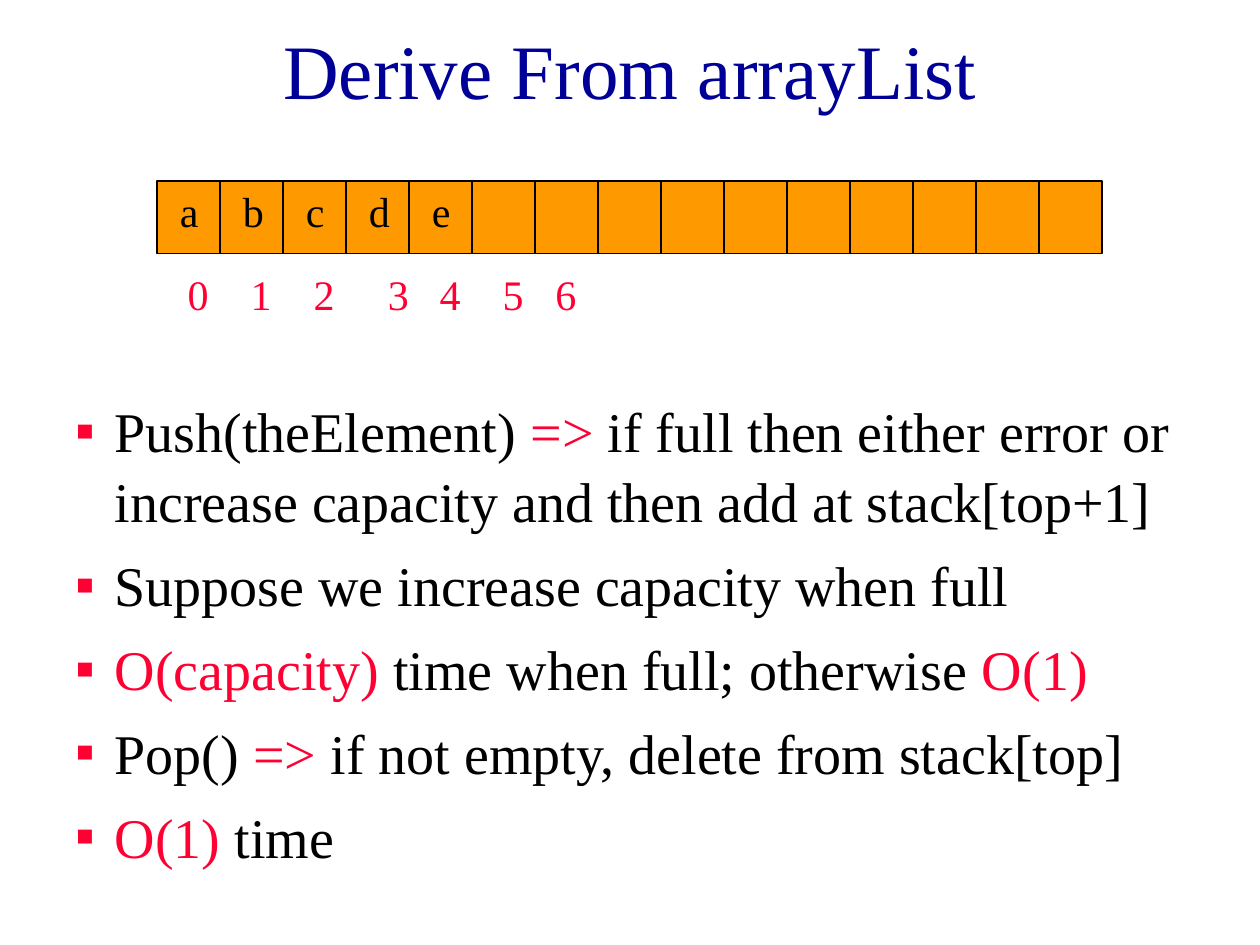
import pptx
import pptx.dml.color
import pptx.enum.shapes
import pptx.enum.text
import pptx.oxml.ns
import pptx.util
from lxml import etree

Pt = pptx.util.Pt
FONT = "Times New Roman"
BLACK, RED, NAVY, ORANGE = "000000", "FF0033", "000099", "FF9900"
CELL_COUNT, CELL_WIDTH = 15, 36
ARRAY_LEFT, ARRAY_TOP, ARRAY_HEIGHT = 89.64, 103.5, 41.4
LETTER_LEFT, LETTER_TOP = 95.76, 102.24
INDEX_LEFTS, INDEX_TOP = (100.08, 136.08, 172.08, 214.56, 244.08, 280.08, 310.32), 149.76

BULLETS = [
    [("Push(theElement) ", BLACK), ("=>", RED),
     (" if full then either error or increase capacity and then add at stack[top+1]", BLACK)],
    [("Suppose we increase capacity when full", BLACK)],
    [("O(capacity) ", RED), ("time when full; otherwise ", BLACK), ("O(1)", RED)],
    [("Pop() ", BLACK), ("=>", RED), (" if not empty, delete from stack[top]", BLACK)],
    [("O(1) ", RED), ("time", BLACK)],
]


def rgb(value):
    return pptx.dml.color.RGBColor.from_string(value)


def add_child(parent, tag, **attributes):
    return etree.SubElement(parent, pptx.oxml.ns.qn(tag), **attributes)


def add_span(para, text, size, color):
    span = para.add_run()
    span.text = text
    span.font.name = FONT
    span.font.size = Pt(size)
    span.font.color.rgb = rgb(color)


def add_box(page, left, top, width, height, wrap=True):
    box = page.shapes.add_textbox(Pt(left), Pt(top), Pt(width), Pt(height))
    box.text_frame.word_wrap = wrap
    return box.text_frame


def add_label(page, text, left, top, width=26.64, height=36, size=24, color=BLACK,
              wrap=False, align=pptx.enum.text.PP_ALIGN.LEFT,
              anchor=pptx.enum.text.MSO_ANCHOR.TOP):
    frame = add_box(page, left, top, width, height, wrap)
    frame.vertical_anchor = anchor
    frame.paragraphs[0].alignment = align
    add_span(frame.paragraphs[0], text, size, color)


def add_bullet(para, color):
    """Give the paragraph a hanging indent and a square bullet."""
    properties = para._p.get_or_add_pPr()
    properties.set("marL", str(Pt(58.5)))
    properties.set("indent", str(-Pt(22.5)))
    add_child(add_child(properties, "a:buClr"), "a:srgbClr", val=color)
    add_child(properties, "a:buFont", typeface=FONT)
    add_child(properties, "a:buChar", char="▪")


def add_bullets(page):
    frame = add_box(page, 0, 221.76, 720, 275.76)
    for number, spans in enumerate(BULLETS):
        para = frame.add_paragraph() if number else frame.paragraphs[0]
        add_bullet(para, RED)
        para.line_spacing = 1.04
        para.space_before = Pt(8 if number else 0)
        for text, color in spans:
            add_span(para, text, 32, color)


def add_divider(page, x):
    line = page.shapes.add_connector(
        pptx.enum.shapes.MSO_CONNECTOR.STRAIGHT,
        Pt(x), Pt(ARRAY_TOP - 0.5), Pt(x), Pt(ARRAY_TOP + ARRAY_HEIGHT + 0.5))
    line.line.color.rgb = rgb(BLACK)
    line.line.width = Pt(1)
    add_child(line._element.spPr, "a:effectLst")


def add_array(page):
    bar = page.shapes.add_shape(
        pptx.enum.shapes.MSO_SHAPE.RECTANGLE, Pt(ARRAY_LEFT), Pt(ARRAY_TOP),
        Pt(CELL_COUNT * CELL_WIDTH), Pt(ARRAY_HEIGHT))
    bar.shadow.inherit = False
    bar.fill.solid()
    bar.fill.fore_color.rgb = rgb(ORANGE)
    bar.line.color.rgb = rgb(BLACK)
    bar.line.width = Pt(1)
    for cell in range(1, CELL_COUNT):
        add_divider(page, ARRAY_LEFT + cell * CELL_WIDTH)
    for index, left in enumerate(INDEX_LEFTS):
        add_label(page, str(index), left, INDEX_TOP, color=RED)
    for cell, letter in enumerate("abcde"):
        add_label(page, letter, LETTER_LEFT + cell * CELL_WIDTH, LETTER_TOP)


def main():
    deck = pptx.Presentation()
    deck.slide_width, deck.slide_height = Pt(720), Pt(540)
    page = deck.slides.add_slide(deck.slide_layouts[6])
    add_label(page, "Derive From arrayList", 54, 12.24, 612, 54, size=44, color=NAVY,
              wrap=True, align=pptx.enum.text.PP_ALIGN.CENTER,
              anchor=pptx.enum.text.MSO_ANCHOR.MIDDLE)
    add_bullets(page)
    add_array(page)
    deck.save("out.pptx")


if __name__ == "__main__":
    main()
